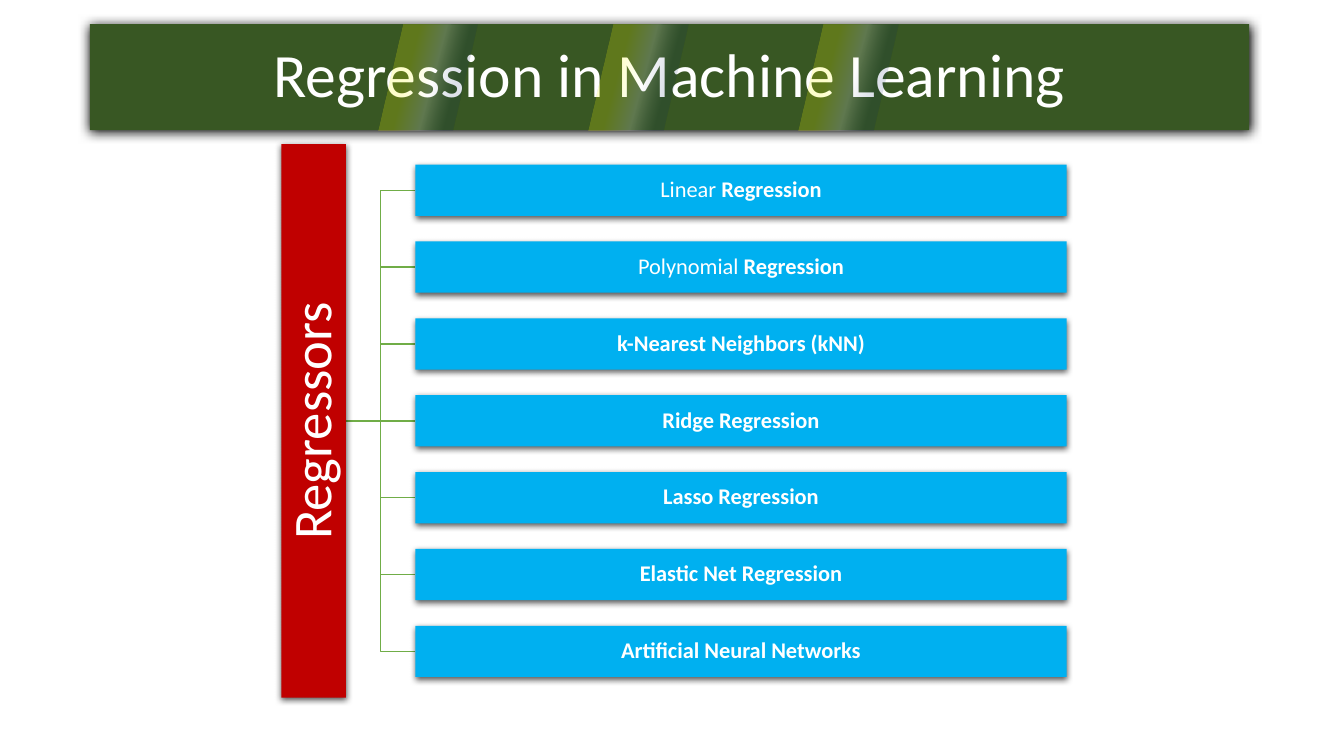
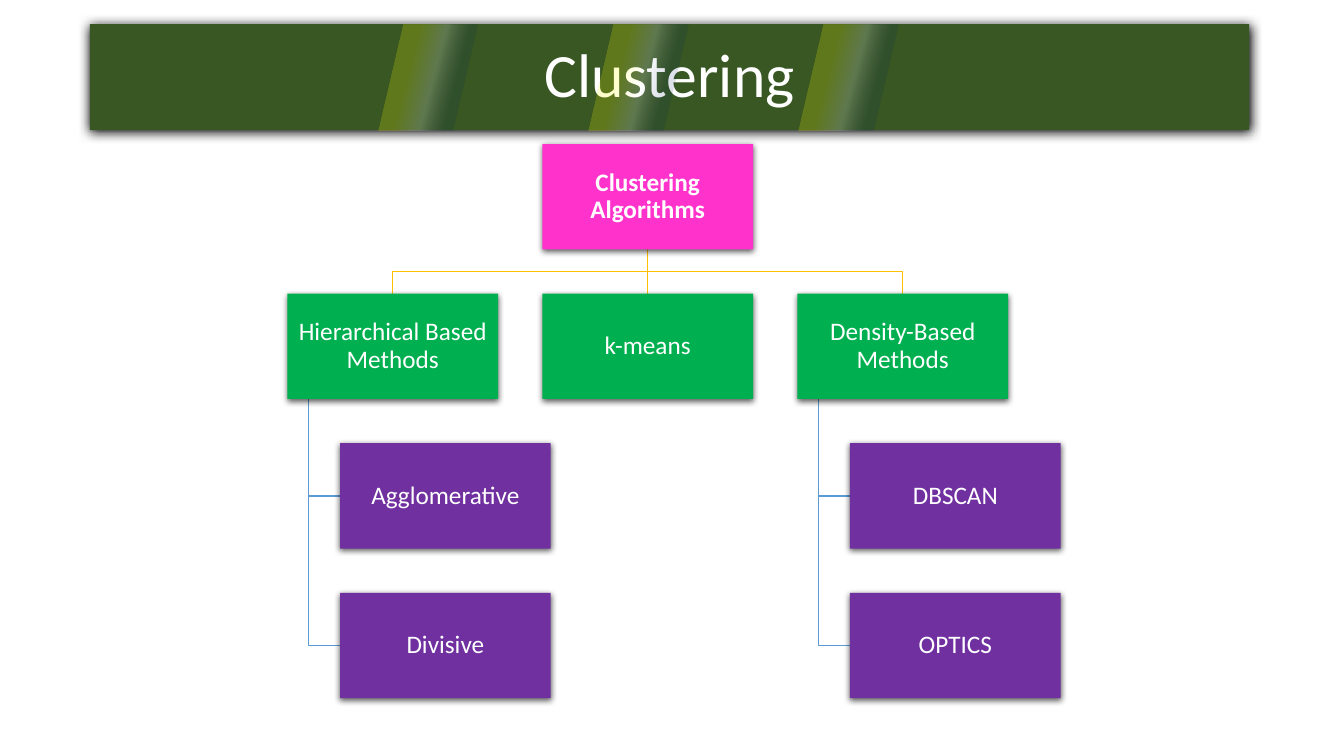
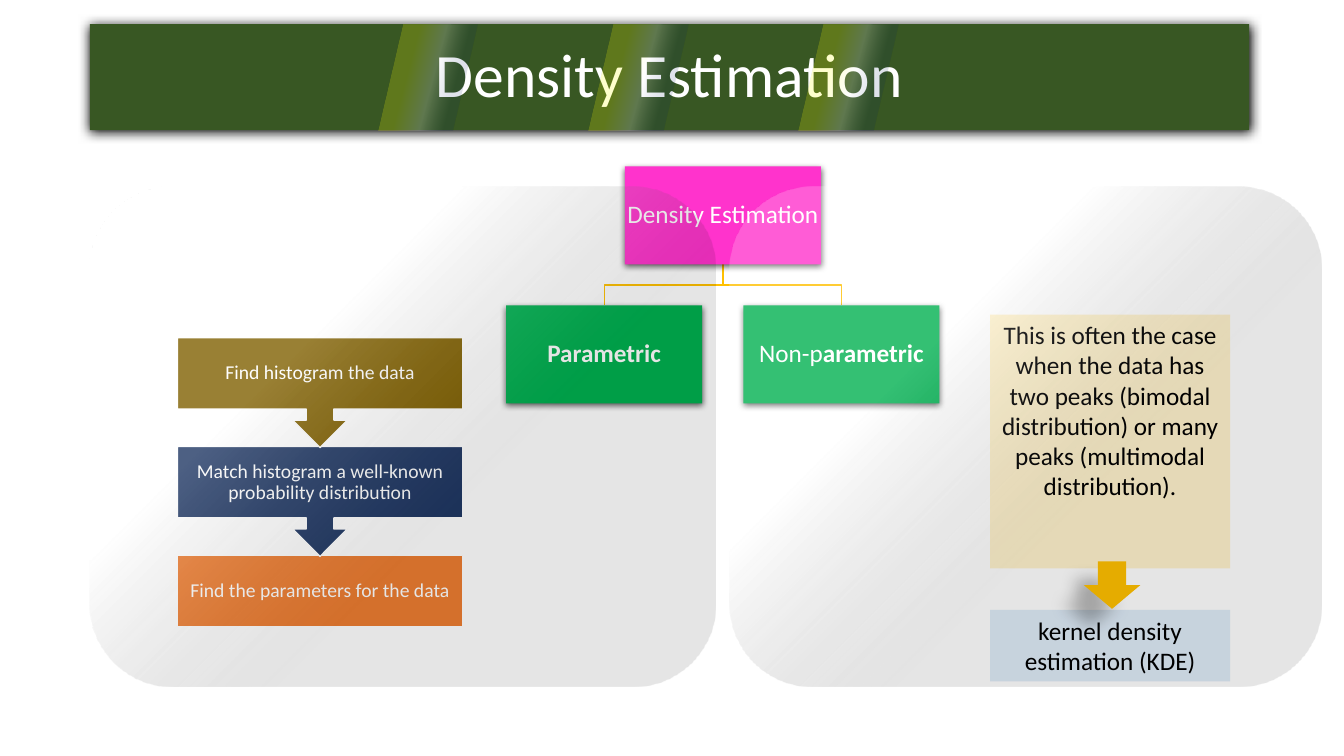
from pptx import Presentation
from pptx import util as u
from pptx.dml.color import RGBColor
from pptx.enum import shapes, text
from pptx.oxml import parse_xml
from pptx.oxml.ns import nsdecls, qn

rgb = RGBColor.from_string
KIND = shapes.MSO_SHAPE
MIDDLE, TOP = text.MSO_ANCHOR.MIDDLE, text.MSO_ANCHOR.TOP

# Shared look: shadows are opacity %, blur pt, distance pt, direction
FONT = "Calibri"
WHITE, BLACK = "FFFFFF", "000000"
BAND, RED, SKY = "385723", "C00000", "00B0F0"
PINK, GREEN, PURPLE = "FF33CC", "00B050", "7030A0"
LEAF_GREEN, GOLD, BLUE = "70AD47", "FFC000", "5B9BD5"
BAND_SHADOW, BOX_SHADOW, ARROW_SHADOW = (100, 8.5, 1, 90), (63, 4.5, 1.5, 90), (28, 11.8, 19.7, 141)
# Gradients are an angle, then stops of position %, colour, opacity %
STREAK = (15, (33, "FFFF00", 20), (54, WHITE, 20), (73, "002060", 13))
VEIL = (45, (33, WHITE, 20), (61, BLACK, 10))
BAND_LEFT, BAND_TOP, BAND_WIDTH, BAND_HEIGHT = 0.89, 0.24, 11.5, 1.05


def paint(shape, fill=None, line=None, shadow=None):
    """Set fill (hex, gradient or none), line and shadow of a shape."""
    props = shape._element.spPr
    if isinstance(fill, str):
        shape.fill.solid()
        shape.fill.fore_color.rgb = rgb(fill)
    else:
        shape.fill.background()
    if isinstance(fill, tuple):
        angle, *stops = fill
        stops_xml = "".join(
            f'<a:gs pos="{pos * 1000}"><a:srgbClr val="{colour}">'
            f'<a:alpha val="{alpha * 1000}"/></a:srgbClr></a:gs>'
            for pos, colour, alpha in stops)
        props.replace(props.find(qn("a:noFill")), parse_xml(
            f'<a:gradFill {nsdecls("a")} rotWithShape="1"><a:gsLst>{stops_xml}</a:gsLst>'
            f'<a:lin ang="{angle * 60000}" scaled="0"/></a:gradFill>'))
    if line:
        shape.line.color.rgb = rgb(line)
        shape.line.width = u.Pt(1)
    else:
        shape.line.fill.background()
    shape.shadow.inherit = False
    if shadow:
        alpha, blur, distance, direction = shadow
        props.find(qn("a:effectLst")).append(parse_xml(
            f'<a:outerShdw {nsdecls("a")} blurRad="{u.Pt(blur)}" dist="{u.Pt(distance)}" '
            f'dir="{direction * 60000}" algn="ctr" rotWithShape="0">'
            f'<a:srgbClr val="{BLACK}"><a:alpha val="{alpha * 1000}"/></a:srgbClr></a:outerShdw>'))


def write(shape, runs, size, colour=WHITE, inset=(0.01, 0.01), anchor=MIDDLE, spacing=0.9):
    """Write centred (words, bold) runs into a shape."""
    frame = shape.text_frame
    frame.word_wrap = True
    frame.auto_size = text.MSO_AUTO_SIZE.NONE
    frame.vertical_anchor = anchor
    frame.margin_left = frame.margin_right = u.Inches(inset[0])
    frame.margin_top = frame.margin_bottom = u.Inches(inset[1])
    line = frame.paragraphs[0]
    line.alignment = text.PP_ALIGN.CENTER
    line.line_spacing = spacing
    for words, bold in runs:
        run = line.add_run()
        run.text = words
        run.font.name, run.font.size, run.font.bold = FONT, u.Pt(size), bold
        run.font.color.rgb = rgb(colour)


deck = Presentation()
deck.slide_width, deck.slide_height = u.Inches(13.33), u.Inches(7.5)

# Title band with three slanted streaks on every slide
slides = []
for heading in ("Regression in Machine Learning", "Clustering", "Density Estimation"):
    slide = deck.slides.add_slide(deck.slide_layouts[5])
    slides.append(slide)
    title = slide.shapes.title
    title.left, title.top, title.width, title.height = map(
        u.Inches, (BAND_LEFT, BAND_TOP, BAND_WIDTH, BAND_HEIGHT))
    paint(title, BAND, shadow=BAND_SHADOW)
    write(title, [(heading, False)], 44, inset=(0.1, 0.05))
    for column in range(3):
        streak = slide.shapes.add_shape(KIND.PARALLELOGRAM, *map(
            u.Inches, (3.75 + column * 2.085, BAND_TOP, 0.99, BAND_HEIGHT)))
        paint(streak, STREAK)
regression, clustering, density = slides

# Diagrams are collected as wires (slide, colour, points)
# and boxes (slide, place, fill, runs, text size, turn)
wires, boxes = [], []

# Regressors: one upright bar, seven rows around its centre
regressors = [
    [("Linear", False), (" Regression", True)],
    [("Polynomial ", False), ("Regression", True)],
    [("k-Nearest Neighbors (kNN)", True)],
    [("Ridge Regression", True)],
    [("Lasso Regression", True)],
    [("Elastic Net Regression", True)],
    [("Artificial Neural Networks", True)],
]
bar_length, bar_width, bar_right, middle = 5.49, 0.64, 3.43, 4.175
row_left, row_width, row_pitch = 4.12, 6.46, bar_length / 7.2
row_height = row_pitch / 1.5
spine = (bar_right + row_left) / 2
bar_place = (bar_right - (bar_width + bar_length) / 2, middle - bar_width / 2, bar_length, bar_width)
boxes.append((regression, bar_place, RED, [("Regressors", False)], 39, 270))
for row, runs in enumerate(regressors):
    y = middle + (row - 3) * row_pitch
    bend = [(spine, middle), (spine, y)] if row != 3 else []
    wires.append((regression, LEAF_GREEN, [(bar_right, middle), *bend, (row_left, y)]))
    boxes.append((regression, (row_left, y - row_height / 2, row_width, row_height), SKY, runs, 16, 0))

# Trees: slide, left, top, box width, root, branches with their leaves
trees = [
    (clustering, 2.85, 1.43, 2.09, [("Clustering Algorithms", True)], [
        ([("Hierarchical Based Methods", False)], ["Agglomerative", "Divisive"]),
        ([("k-means", False)], []),
        ([("Density-Based Methods", False)], ["DBSCAN", "OPTICS"])]),
    (density, 5.02, 1.65, 1.945, [("Density Estimation", False)], [
        ([("Parametric", True)], []),
        ([("Non-p", False), ("arametric", True)], [])]),
]
for slide, left, top, width, root, branches in trees:
    height, gap = width / 2, width * 0.21
    column_pitch, row_pitch = width + gap, height + gap
    root_left = left + (len(branches) - 1) / 2 * column_pitch
    root_x, root_bottom = root_left + width / 2, top + height
    bus, branch_top = root_bottom + gap / 2, top + row_pitch
    boxes.append((slide, (root_left, top, width, height), PINK, root, 18, 0))
    for column, (branch, leaves) in enumerate(branches):
        x = left + column * column_pitch
        branch_x = x + width / 2
        bend = [(root_x, bus), (branch_x, bus)] if abs(branch_x - root_x) > gap else []
        wires.append((slide, GOLD, [(root_x, root_bottom), *bend, (branch_x, branch_top)]))
        boxes.append((slide, (x, branch_top, width, height), GREEN, branch, 18, 0))
        stem, leaf_left = x + width * 0.1, x + width * 0.25
        for row, leaf in enumerate(leaves, 1):
            leaf_top = branch_top + row * row_pitch
            leaf_y = leaf_top + height / 2
            wires.append((slide, BLUE, [(stem, branch_top + height), (stem, leaf_y), (leaf_left, leaf_y)]))
            boxes.append((slide, (leaf_left, leaf_top, width, height), PURPLE, [(leaf, False)], 18, 0))

# Draw the wires, then the boxes over them
for slide, colour, points in wires:
    start, *others = [(u.Inches(x), u.Inches(y)) for x, y in points]
    outline = slide.shapes.build_freeform(*start)
    outline.add_line_segments(others, close=False)
    paint(outline.convert_to_shape(), line=colour)
for slide, place, fill, runs, size, turn in boxes:
    box = slide.shapes.add_shape(KIND.RECTANGLE, *map(u.Inches, place))
    box.rotation = turn
    paint(box, fill, shadow=BOX_SHADOW)
    write(box, runs, size)

# Parametric steps, last one at the back
steps = [
    (KIND.DOWN_ARROW_CALLOUT, 1.09, "806000", "Find histogram the data"),
    (KIND.DOWN_ARROW_CALLOUT, 1.09, "203864", "Match histogram a well-known probability distribution"),
    (KIND.RECTANGLE, 0.71, "ED7D31", "Find the parameters for the data"),
]
for order, (kind, height, fill, words) in reversed(list(enumerate(steps))):
    step = density.shapes.add_shape(kind, *map(
        u.Inches, (1.76, 3.35 + order * 1.08, 2.83, height)))
    paint(step, fill, line=WHITE)
    write(step, [(words, False)], 14, inset=(0.11, 0.11))

# Non-parametric case leading to its method
for y, height, fill, words in (
        (6.05, 0.71, "DEEBF7", "kernel density estimation (KDE)"),
        (3.12, 2.52, "FFF2CC", "This is often the case when the data has two peaks (bimodal "
                               "distribution) or many peaks (multimodal distribution).")):
    note = density.shapes.add_shape(KIND.RECTANGLE, *map(u.Inches, (9.82, y, 2.38, height)))
    paint(note, fill)
    write(note, [(words, False)], 18, BLACK, (0.1, 0.05), TOP, 1.0)
arrow = density.shapes.add_shape(KIND.DOWN_ARROW, *map(u.Inches, (10.75, 5.57, 0.56, 0.47)))
paint(arrow, GOLD, shadow=ARROW_SHADOW)

# Translucent veils over both halves
for left, width in ((BAND_LEFT, 6.21), (7.24, 5.87)):
    veil = density.shapes.add_shape(KIND.ROUNDED_RECTANGLE, *map(u.Inches, (left, 1.85, width, 4.96)))
    paint(veil, VEIL)

deck.save("out.pptx")
